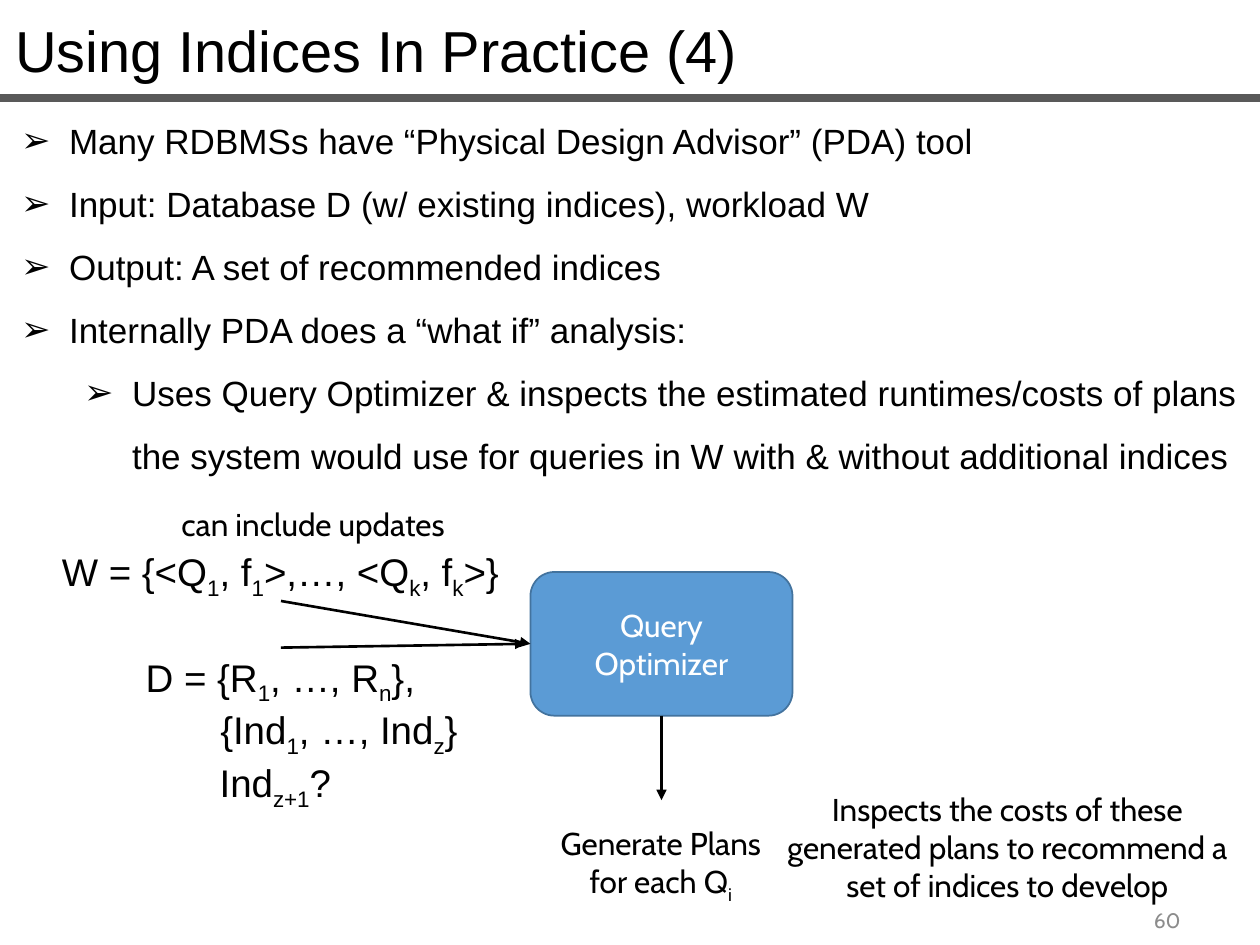
"""Build the slide on using indices in practice."""
from dataclasses import dataclass

from lxml import etree
from pptx import Presentation
from pptx.dml.color import RGBColor
from pptx.enum.shapes import MSO_CONNECTOR, MSO_SHAPE
from pptx.enum.text import MSO_ANCHOR, MSO_AUTO_SIZE, PP_ALIGN
from pptx.oxml.ns import qn
from pptx.util import Inches, Pt

LEFT, MID, RIGHT = PP_ALIGN.LEFT, PP_ALIGN.CENTER, PP_ALIGN.RIGHT
TOP, CENTER = MSO_ANCHOR.TOP, MSO_ANCHOR.MIDDLE
FIXED = MSO_AUTO_SIZE.NONE
LINE = MSO_CONNECTOR.STRAIGHT
ROUND = MSO_SHAPE.ROUNDED_RECTANGLE


@dataclass(frozen=True)
class Theme:
    sans: str = "Arial"
    label: str = "Cabin"
    black: RGBColor = RGBColor(0, 0, 0)
    white: RGBColor = RGBColor(255, 255, 255)
    rule: RGBColor = RGBColor(0x59, 0x59, 0x59)
    gray: RGBColor = RGBColor(0x8C, 0x8C, 0x8C)
    blue: RGBColor = RGBColor(0x5B, 0x9B, 0xD5)
    edge: RGBColor = RGBColor(0x43, 0x73, 0x9E)
    title: int = 33
    body: int = 20
    math: int = 22
    note: int = 18
    page: int = 12


theme = Theme()
deck = Presentation()
deck.slide_width, deck.slide_height = Inches(10), Inches(7.5)
slide = deck.slides.add_slide(deck.slide_layouts[5])
shapes = slide.shapes


def write(shape, lines, font, size, color=theme.black, align=MID, anchor=TOP):
    """Fill a shape with lines whose parts between underscores are subscripts."""
    frame = shape.text_frame
    frame.word_wrap, frame.auto_size = True, FIXED
    frame.vertical_anchor = anchor
    for i, line in enumerate(lines):
        para = frame.add_paragraph() if i else frame.paragraphs[0]
        para.alignment = align
        para.font.name, para.font.size = font, Pt(size)
        para.font.color.rgb = color
        for j, part in enumerate(line.split("_")):
            if part:
                run = para.add_run()
                run.text = part
                if j % 2:
                    run._r.get_or_add_rPr().set("baseline", "-25000")
    return frame


def link(start, end, color=theme.black, width=1.5, arrow=True):
    """Draw a straight line between two points in inches."""
    line = shapes.add_connector(LINE, *map(Inches, (*start, *end)))
    line.line.color.rgb, line.line.width = color, Pt(width)
    if arrow:
        etree.SubElement(line.line._get_or_add_ln(), qn("a:tailEnd"), type="triangle")
    etree.SubElement(line._element.spPr, qn("a:effectLst"))
    return line


title = shapes.title
title.left, title.top = Inches(0.02), Inches(0.07)
title.width, title.height = Inches(10), Inches(0.66)
write(title, ["Using Indices In Practice (4)"], theme.sans, theme.title, align=LEFT)
link((0, 0.78), (10, 0.78), theme.rule, 4.5, False)

points = [
    (0, "Many RDBMSs have “Physical Design Advisor” (PDA) tool"),
    (0, "Input: Database D (w/ existing indices), workload W"),
    (0, "Output: A set of recommended indices"),
    (0, "Internally PDA does a “what if” analysis:"),
    (1, "Uses Query Optimizer & inspects the estimated runtimes/costs of plans "
        "the system would use for queries in W with & without additional indices"),
]
body = shapes.add_textbox(Inches(0.07), Inches(0.73), Inches(10), Inches(3.07)).text_frame
body.word_wrap = True
for i, (level, text) in enumerate(points):
    para = body.add_paragraph() if i else body.paragraphs[0]
    para.text, para.level, para.line_spacing = text, level, 1.5
    props = para._p.get_or_add_pPr()
    props.set("marL", str(Inches(0.38 + 0.5 * level)))
    props.set("indent", str(Inches(-0.38)))
    etree.SubElement(props, qn("a:buFont"), typeface=theme.sans)
    etree.SubElement(props, qn("a:buChar"), char="➢")
    para.font.name, para.font.size = theme.sans, Pt(theme.body)
    para.font.color.rgb = theme.black

page = shapes.add_textbox(Inches(7.14), Inches(7.1), Inches(2.33), Inches(0.4))
write(page, ["60"], theme.label, theme.page, theme.gray, RIGHT, CENTER)

box = shapes.add_shape(ROUND, Inches(4.21), Inches(4.54), Inches(2.08), Inches(1.14))
box.shadow.inherit = False
box.fill.solid()
box.fill.fore_color.rgb = theme.blue
box.line.color.rgb, box.line.width = theme.edge, Pt(1)
write(box, ["Query Optimizer"], theme.label, theme.note, theme.white, anchor=CENTER)

load = shapes.add_textbox(Inches(0.24), Inches(4.3), Inches(3.97), Inches(0.47))
write(load, ["W = {<Q_1_, f_1_>,…, <Q_k_, f_k_>}"], theme.sans, theme.math)
data = shapes.add_textbox(Inches(0.24), Inches(5.14), Inches(3.97), Inches(1.21))
rows = ["D = {R_1_, …, R_n_},", "{Ind_1_, …, Ind_z_}", "Ind_z+1_?"]
frame = write(data, rows, theme.sans, theme.math)
frame.paragraphs[1]._p.get_or_add_pPr().set("marL", str(Inches(0.93)))
frame.paragraphs[2]._p.get_or_add_pPr().set("marR", str(Inches(0.08)))

link((2.23, 4.77), (4.21, 5.11)).end_connect(box, 1)
link((2.23, 5.14), (4.17, 5.11))
link((5.25, 5.68), (5.25, 6.35)).begin_connect(box, 2)

notes = [
    (4.21, 6.49, 2.07, 0.71, "Generate Plans for each Q_i_"),
    (5.97, 6.22, 4.05, 1.01, "Inspects the costs of these generated plans "
                             "to recommend a set of indices to develop"),
    (0.46, 3.96, 4.05, 0.4, "can include updates"),
]
for *place, text in notes:
    note = shapes.add_textbox(*map(Inches, place))
    write(note, [text], theme.label, theme.note)

deck.save("out.pptx")
